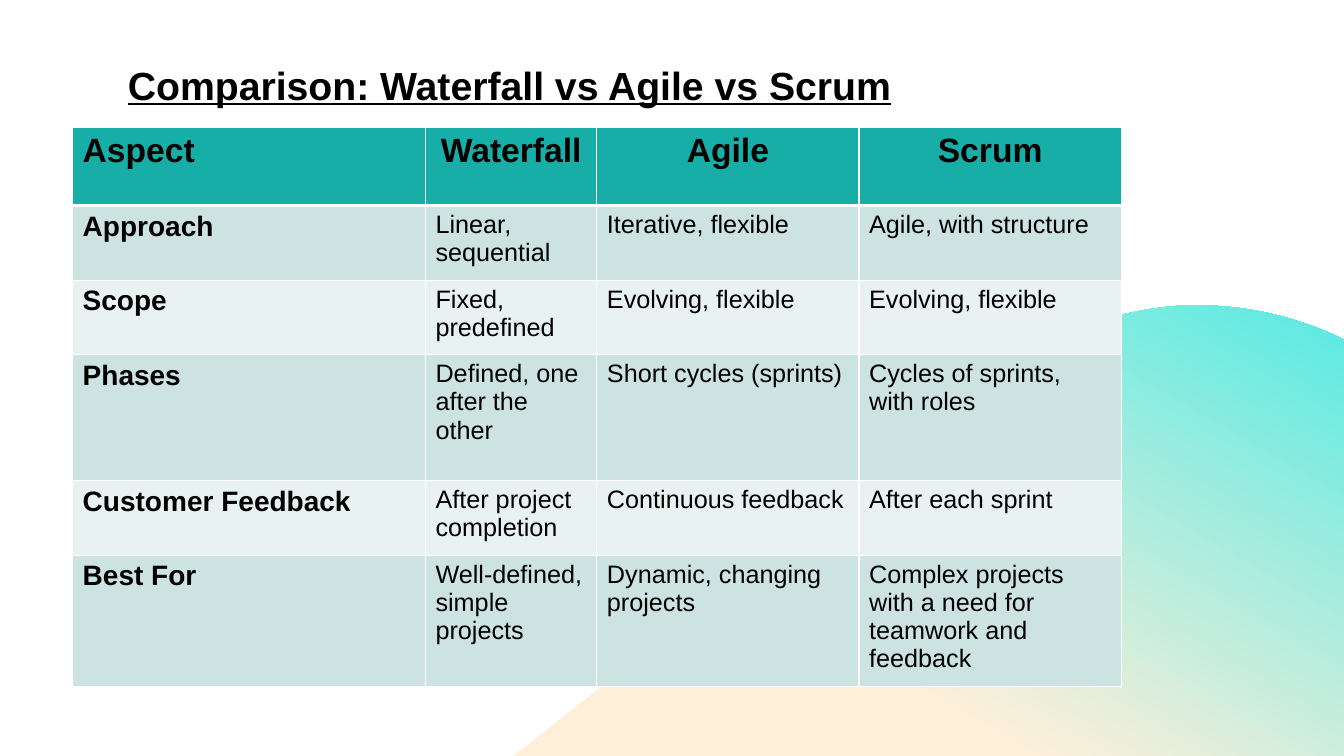
"""Build a slide that compares the Waterfall, Agile and Scrum methods."""
from lxml import etree
from pptx import Presentation
from pptx import util as u
from pptx.dml.color import RGBColor
from pptx.enum import text
from pptx.oxml import ns

COLUMN_WIDTHS = [3.5, 1.7, 2.6, 2.6]
ROW_HEIGHTS = [0.78, 0.74, 0.74, 1.25, 0.74, 1.25]
COMPARISON = [
    ["Aspect", "Waterfall", "Agile", "Scrum"],
    ["Approach", "Linear, sequential", "Iterative, flexible", "Agile, with structure"],
    ["Scope", "Fixed, predefined", "Evolving, flexible", "Evolving, flexible"],
    ["Phases", "Defined, one after the other", "Short cycles (sprints)",
     "Cycles of sprints, with roles"],
    ["Customer Feedback", "After project completion", "Continuous feedback",
     "After each sprint"],
    ["Best For", "Well-defined, simple projects", "Dynamic, changing projects",
     "Complex projects with a need for teamwork and feedback"],
]
HILL_CURVES = [
    [(9.98, 3.66), (10.0, 3.64), (10.03, 3.63), (10.05, 3.61)],
    [(10.05, 3.61), (10.56, 3.25), (11.16, 3.06), (11.76, 3.03)],
    [(11.76, 3.03), (11.82, 3.03), (11.88, 3.03), (11.94, 3.03)],
    [(11.94, 3.03), (12.41, 3.04), (12.87, 3.15), (13.29, 3.35)],
]
HILL_BASE = [(13.33, 3.37), (13.33, 7.5), (5.09, 7.5)]


def color(code):
    return RGBColor.from_string(code)


def curve_points(corners, steps=24):
    for step in range(steps + 1):
        t = step / steps
        weights = [(1 - t) ** 3, 3 * t * (1 - t) ** 2, 3 * t * t * (1 - t), t ** 3]
        yield tuple(sum(w * corner[axis] for w, corner in zip(weights, corners))
                    for axis in (0, 1))


class SlideBuilder:
    font = "Arial"
    ink = "000000"
    line = "FFFFFF"
    header = "16AEA7"
    bands = ["E8F2F1", "CCE3E1"]

    def __init__(self, page):
        self.page = page
        page.background.fill.solid()
        page.background.fill.fore_color.rgb = color("FFFFFF")

    def add_span(self, para, words, size, bold=False, underline=False):
        span = para.add_run()
        span.text = words
        span.font.name = self.font
        span.font.size = u.Pt(size)
        span.font.bold = bold
        span.font.underline = underline
        span.font.color.rgb = color(self.ink)

    def title(self, words, left, top, width, height):
        box = self.page.shapes.add_textbox(*map(u.Inches, (left, top, width, height)))
        box.text_frame.word_wrap = True
        box.text_frame.vertical_anchor = text.MSO_ANCHOR.BOTTOM
        self.add_span(box.text_frame.paragraphs[0], words, 28, bold=True, underline=True)

    def hill(self, points, stops, angle):
        corners = [(u.Inches(x), u.Inches(y)) for x, y in points]
        outline = self.page.shapes.build_freeform(*corners[0])
        outline.add_line_segments(corners[1:], close=True)
        shape = outline.convert_to_shape()
        shape.shadow.inherit = False
        shape.line.fill.background()
        shape.fill.gradient()
        shape.fill.gradient_angle = angle
        for stop, (position, code) in zip(shape.fill.gradient_stops, stops):
            stop.position = position
            stop.color.rgb = color(code)

    def borders(self, cell, widths):
        properties = cell._tc.get_or_add_tcPr()
        for index, (side, width) in enumerate(widths.items()):
            edge = etree.Element(ns.qn(f"a:ln{side}"), w=str(u.Pt(width)))
            fill = etree.SubElement(edge, ns.qn("a:solidFill"))
            etree.SubElement(fill, ns.qn("a:srgbClr"), val=self.line)
            properties.insert(index, edge)

    def table(self, rows, left, top, widths, heights):
        frame = self.page.shapes.add_table(
            len(rows), len(widths), u.Inches(left), u.Inches(top),
            u.Inches(sum(widths)), u.Inches(sum(heights)))
        grid = frame.table
        for column, width in zip(grid.columns, widths):
            column.width = u.Inches(width)
        for r, (row, height) in enumerate(zip(rows, heights)):
            grid.rows[r].height = u.Inches(height)
            for c, words in enumerate(row):
                cell = grid.cell(r, c)
                cell.fill.solid()
                cell.fill.fore_color.rgb = color(self.bands[r % 2] if r else self.header)
                para = cell.text_frame.paragraphs[0]
                if r == 0 and c > 0:
                    para.alignment = text.PP_ALIGN.CENTER
                size = 24 if r == 0 else 20 if c == 0 else 18
                self.add_span(para, words, size, bold=r == 0 or c == 0)
                self.borders(cell, {"L": 1, "R": 1, "T": 3 if r == 1 else 1,
                                    "B": 3 if r == 0 else 1})


def main():
    deck = Presentation()
    deck.slide_width = u.Inches(13.33)
    deck.slide_height = u.Inches(7.5)
    slide = SlideBuilder(deck.slides.add_slide(deck.slide_layouts[6]))
    slide.title("Comparison: Waterfall vs Agile vs Scrum", 1.17, 0.31, 10.91, 0.81)
    crest = [point for curve in HILL_CURVES for point in curve_points(curve)]
    slide.hill(crest + HILL_BASE, [(0.32, "FEEFD9"), (1, "58EAE3")], 60)
    slide.table(COMPARISON, 0.72, 1.26, COLUMN_WIDTHS, ROW_HEIGHTS)
    deck.save("out.pptx")


if __name__ == "__main__":
    main()
